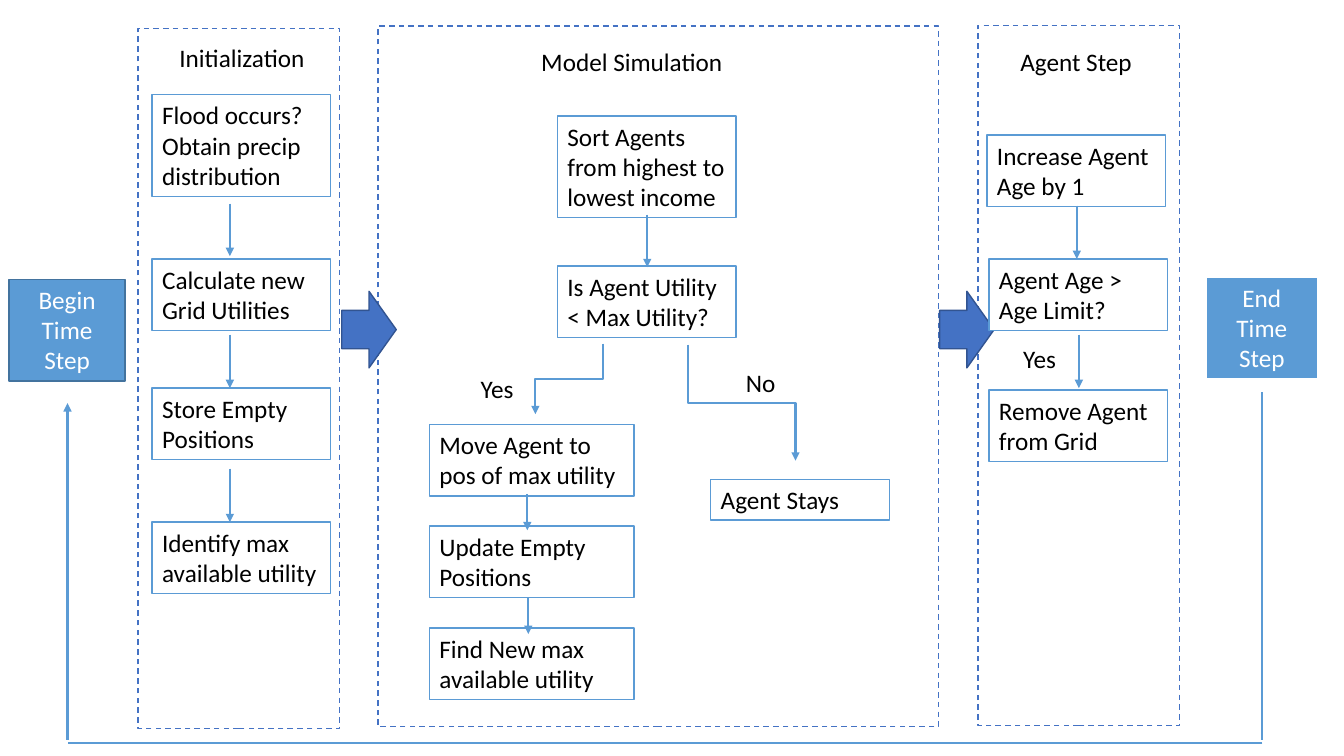
from lxml.etree import SubElement
from pptx import Presentation
from pptx.dml.color import RGBColor
from pptx.enum.dml import MSO_LINE
from pptx.enum.shapes import MSO_CONNECTOR, MSO_SHAPE
from pptx.enum.text import MSO_ANCHOR, MSO_AUTO_SIZE, PP_ALIGN
from pptx.oxml.ns import qn
from pptx.util import Inches, Pt

BLACK = RGBColor(0x00, 0x00, 0x00)
WHITE = RGBColor(0xFF, 0xFF, 0xFF)
LIGHT_BLUE = RGBColor(0x5B, 0x9B, 0xD5)
STEEL = RGBColor(0x43, 0x73, 0x9E)
BLUE = RGBColor(0x44, 0x72, 0xC4)
DARK_BLUE = RGBColor(0x32, 0x54, 0x91)

deck = Presentation()
deck.slide_width, deck.slide_height = Inches(13.33), Inches(7.5)
page = deck.slides.add_slide(deck.slide_layouts[6])


def add_box(text, left, top, width, height, fill=None, line=None, weight=1,
            color=BLACK, align=PP_ALIGN.LEFT, wrap=True, indent=0):
    """Add a text box, or a rectangle when a fill is given."""
    area = [Inches(length) for length in (left, top, width, height)]
    if fill is None:
        box = page.shapes.add_textbox(*area)
    else:
        box = page.shapes.add_shape(MSO_SHAPE.RECTANGLE, *area)
        box.shadow.inherit = False
        box.fill.solid()
        box.fill.fore_color.rgb = fill
        box.line.color.rgb = line
        box.line.width = Pt(weight)
    frame = box.text_frame
    frame.word_wrap = wrap
    frame.auto_size = MSO_AUTO_SIZE.SHAPE_TO_FIT_TEXT
    frame.vertical_anchor = MSO_ANCHOR.TOP
    frame.margin_left = Inches(0.1 + indent)
    para = frame.paragraphs[0]
    para.text = text
    para.alignment = align
    para.font.name = "Calibri"
    para.font.size = Pt(18)
    para.font.color.rgb = color


def add_line(x1, y1, x2, y2, kind=MSO_CONNECTOR.STRAIGHT, arrow=True):
    """Add a connector, with an arrowhead at its end if wanted."""
    connector = page.shapes.add_connector(
        kind, Inches(x1), Inches(y1), Inches(x2), Inches(y2))
    connector.line.color.rgb = LIGHT_BLUE
    connector.line.width = Pt(1.5)
    properties = connector._element.spPr
    if arrow:
        SubElement(properties.find(qn("a:ln")), qn("a:tailEnd"), type="triangle")
    SubElement(properties, qn("a:effectLst"))
    return connector


# Section titles
for title, left, top, width, indent in [
    ("Initialization", 1.51, 0.37, 1.77, 0.17),
    ("Model Simulation", 5.27, 0.41, 2.03, 0),
    ("Agent Step", 9.79, 0.41, 1.77, 0.23),
]:
    add_box(title, left, top, width, 0.4, indent=indent)

# Dashed section frames
for left, top, width in [(3.75, 0.26, 5.56), (9.7, 0.25, 2), (1.37, 0.28, 2)]:
    section = page.shapes.add_shape(
        MSO_SHAPE.RECTANGLE, Inches(left), Inches(top), Inches(width), Inches(6.95))
    section.shadow.inherit = False
    section.fill.background()
    section.line.color.rgb = BLUE
    section.line.width = Pt(1)
    section.line.dash_style = MSO_LINE.DASH

# Block arrows between sections
for left in (3.39, 9.32):
    block_arrow = page.shapes.add_shape(
        MSO_SHAPE.RIGHT_ARROW, Inches(left), Inches(2.89), Inches(0.54), Inches(0.76))
    block_arrow.shadow.inherit = False
    block_arrow.fill.solid()
    block_arrow.fill.fore_color.rgb = BLUE
    block_arrow.line.color.rgb = DARK_BLUE
    block_arrow.line.width = Pt(1)

# Process steps
for text, left, top, width, height in [
    ("Flood occurs? Obtain precip distribution", 1.51, 0.94, 1.77, 1.01),
    ("Calculate new Grid Utilities", 1.51, 2.57, 1.77, 0.71),
    ("Store Empty Positions", 1.51, 3.85, 1.77, 0.71),
    ("Identify max available utility", 1.51, 5.18, 1.77, 0.71),
    ("Sort Agents from highest to lowest income", 5.53, 1.15, 1.77, 1.01),
    ("Is Agent Utility < Max Utility?", 5.53, 2.64, 1.77, 0.71),
    ("Agent Stays", 7.05, 4.76, 1.77, 0.4),
    ("Move Agent to pos of max utility", 4.26, 4.21, 2.03, 0.71),
    ("Update Empty Positions", 4.26, 5.22, 2.03, 0.71),
    ("Find New max available utility", 4.26, 6.23, 2.03, 0.71),
    ("Increase Agent Age by 1", 9.79, 1.34, 1.77, 0.71),
    ("Agent Age > Age Limit?", 9.81, 2.57, 1.77, 0.71),
    ("Remove Agent from Grid", 9.81, 3.87, 1.77, 0.71),
]:
    add_box(text, left, top, width, height, WHITE, LIGHT_BLUE)

# Begin and end of the time step
add_box("Begin Time Step", 0.09, 2.77, 1.15, 1.01, LIGHT_BLUE, STEEL,
        color=WHITE, align=PP_ALIGN.CENTER)
add_box("End Time Step", 11.96, 2.75, 1.11, 1.01, LIGHT_BLUE, WHITE, 1.5,
        color=WHITE, align=PP_ALIGN.CENTER)

# Branch labels
for label, left, top, width in [
    ("No", 7.3, 3.59, 0.5), ("Yes", 4.67, 3.65, 0.53), ("Yes", 10.05, 3.36, 0.53),
]:
    add_box(label, left, top, width, 0.4, wrap=False)

# Downward arrows between steps
for x, top, bottom in [
    (2.28, 2.02, 2.54), (2.28, 3.32, 3.85), (2.28, 4.65, 5.18),
    (6.42, 2.13, 2.65), (5.23, 4.9, 5.26), (5.24, 5.93, 6.29),
    (10.68, 2.04, 2.57), (10.7, 3.32, 3.85),
]:
    add_line(x, top, x, bottom)

# Decision branches: elbows turned so that they leave and arrive vertically
for x1, y1, x2, y2 in [(5.98, 3.41, 5.31, 4.11), (6.82, 3.42, 7.89, 4.57)]:
    middle_x, middle_y = (x1 + x2) / 2, (y1 + y2) / 2
    half_width, half_height = (y2 - y1) / 2, abs(x2 - x1) / 2
    side = 1 if x2 < x1 else -1
    branch = add_line(middle_x - side * half_width, middle_y - half_height,
                      middle_x + side * half_width, middle_y + half_height,
                      MSO_CONNECTOR.ELBOW)
    turn = 90 if side == 1 else 270
    branch._element.spPr.find(qn("a:xfrm")).set("rot", str(turn * 60000))

# Return loop from end to begin
add_line(12.52, 3.89, 12.52, 7.34, arrow=False)
add_line(12.52, 7.37, 0.67, 7.37, arrow=False)
add_line(0.67, 7.34, 0.67, 4)

deck.save("out.pptx")
